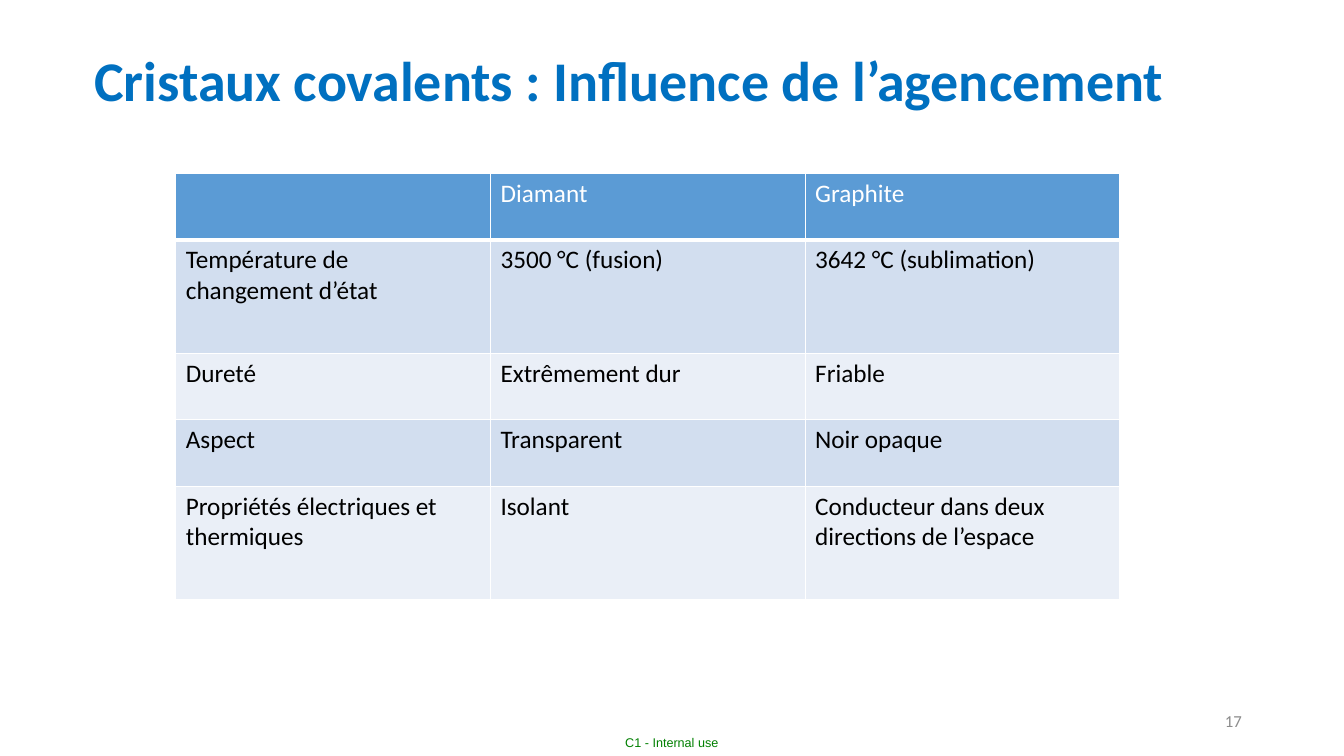
import pptx
import pptx.util
import pptx.dml.color
import pptx.enum.text
import pptx.oxml
import pptx.oxml.ns

Cm, Pt = pptx.util.Cm, pptx.util.Pt
ALIGN, ANCHOR = pptx.enum.text.PP_ALIGN, pptx.enum.text.MSO_ANCHOR

# Content
TITLE = "Cristaux covalents : Influence de l’agencement"
FOOTER = "C1 - Internal use"
PAGE_NUMBER = "17"
ROWS = [
    ("", "Diamant", "Graphite"),
    ("Température de changement d’état", "3500 °C (fusion)", "3642 °C (sublimation)"),
    ("Dureté", "Extrêmement dur", "Friable"),
    ("Aspect", "Transparent", "Noir opaque"),
    ("Propriétés électriques et thermiques", "Isolant",
     "Conducteur dans deux directions de l’espace"),
]

# Layout, in centimetres
TABLE_LEFT, TABLE_TOP, COLUMN_WIDTH = 4.43, 4.37, 7.93
ROW_HEIGHTS = [1.67, 2.87, 1.67, 1.67, 2.87]
HEADER_FILL, BAND_FILLS = "5B9BD5", ("D2DEEF", "EAEFF7")

# Text boxes: text, (left, top, width, height), frame format, alignment, font format, colour
CENTRED = {"vertical_anchor": ANCHOR.MIDDLE}
NO_INSETS = dict.fromkeys(("margin_left", "margin_top", "margin_right", "margin_bottom"), 0)
BOXES = [
    (FOOTER, (15.34, 18.39, 3.18, 0.66), {**CENTRED, **NO_INSETS}, ALIGN.CENTER,
     {"name": "Arial", "size": Pt(9)}, "008000"),
    (PAGE_NUMBER, (23.93, 17.65, 7.62, 1.02), CENTRED, ALIGN.RIGHT,
     {"name": "Calibri", "size": Pt(12)}, "8C8C8C"),
    (TITLE, (0, 1.02, 31.7, 1.96), {}, ALIGN.CENTER,
     {"name": "Calibri", "size": Pt(40), "bold": True}, "0070C0"),
]
CELL_FONT = {"name": "Calibri", "size": Pt(18), "bold": False}


def color(value):
    return pptx.dml.color.RGBColor.from_string(value)


def apply(target, formats):
    for name, value in formats.items():
        setattr(target, name, value)


def write(para, text, font, hue):
    span = para.add_run()
    span.text = text
    apply(span.font, font)
    span.font.color.rgb = color(hue)


def add_borders(cell, bottom):
    properties = cell._tc.get_or_add_tcPr()
    widths = {"lnL": 1, "lnR": 1, "lnT": 1, "lnB": bottom}
    for place, (side, points) in enumerate(widths.items()):
        properties.insert(place, pptx.oxml.parse_xml(
            f'<a:{side} {pptx.oxml.ns.nsdecls("a")} w="{Pt(points)}">'
            f'<a:solidFill><a:srgbClr val="FFFFFF"/></a:solidFill></a:{side}>'))


deck = pptx.Presentation()
deck.slide_width, deck.slide_height = Cm(33.87), Cm(19.05)
page = deck.slides.add_slide(deck.slide_layouts[6])

# Title, footer and page number
for text, place, frame, align, font, hue in BOXES:
    box = page.shapes.add_textbox(*map(Cm, place))
    apply(box.text_frame, {"word_wrap": True, **frame})
    para = box.text_frame.paragraphs[0]
    para.alignment = align
    write(para, text, font, hue)

# Comparison table
column_count = len(ROWS[0])
table = page.shapes.add_table(
    len(ROWS), column_count, Cm(TABLE_LEFT), Cm(TABLE_TOP),
    Cm(COLUMN_WIDTH * column_count), Cm(sum(ROW_HEIGHTS))).table
apply(table, {"first_row": False, "horz_banding": False})
for column in table.columns:
    column.width = Cm(COLUMN_WIDTH)
for r, texts in enumerate(ROWS):
    table.rows[r].height = Cm(ROW_HEIGHTS[r])
    header = r == 0
    for c, text in enumerate(texts):
        cell = table.cell(r, c)
        cell.fill.solid()
        cell.fill.fore_color.rgb = color(HEADER_FILL if header else BAND_FILLS[(r - 1) % 2])
        add_borders(cell, bottom=3 if header else 1)
        if text:
            write(cell.text_frame.paragraphs[0], text, CELL_FONT,
                  "FFFFFF" if header else "000000")

deck.save("out.pptx")
